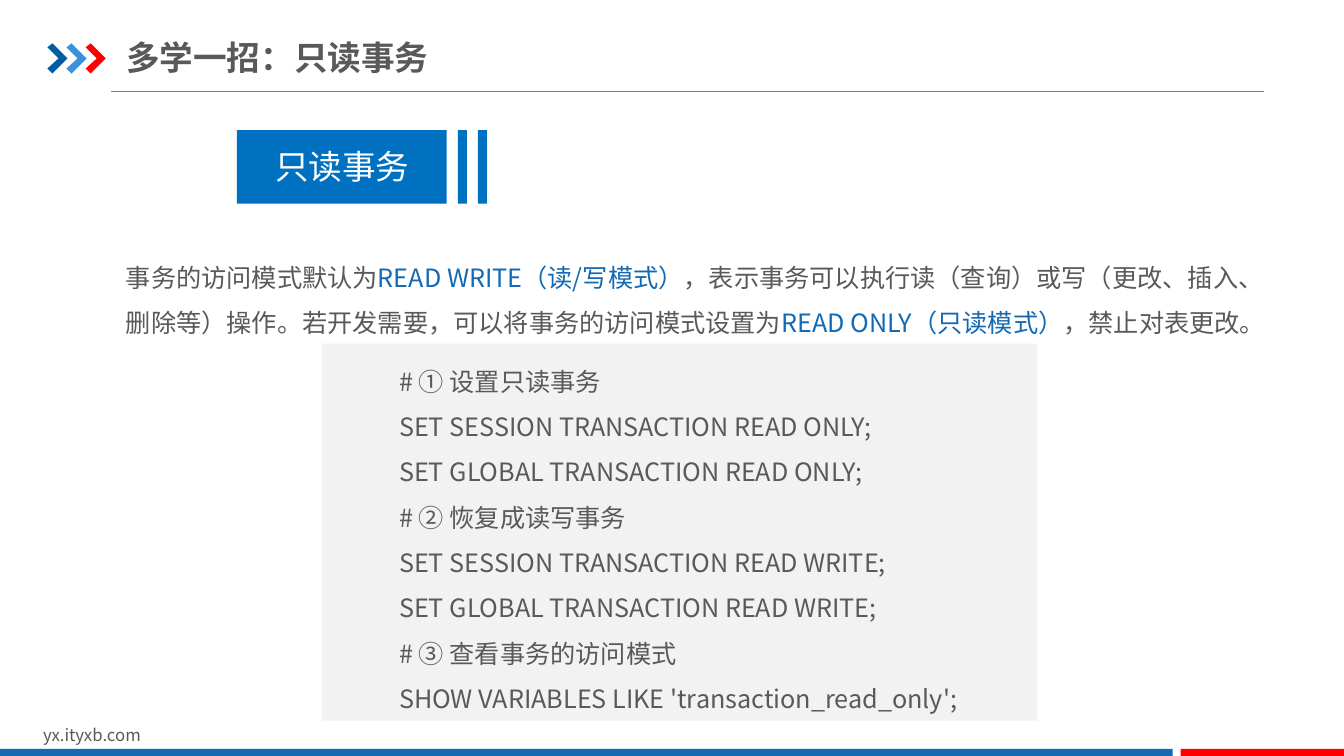
"""Build the slide on read-only transactions."""
from dataclasses import dataclass

import pptx
import pptx.dml.color
import pptx.enum.shapes
import pptx.enum.text
import pptx.oxml.ns
import pptx.util
from lxml import etree
from pptx.util import Inches

CJK = "Noto Sans CJK SC"
GREY, BLUE, RED, BANNER = "595959", "1369B2", "FF0000", "0070C0"
ALIGN = pptx.enum.text.PP_ALIGN
ANCHOR = pptx.enum.text.MSO_ANCHOR


@dataclass
class Box:
    left: float
    top: float
    width: float
    height: float


@dataclass
class Bar:
    box: Box
    fill: str


@dataclass
class Run:
    text: str
    color: str = GREY


@dataclass
class Style:
    size: int
    font: str = CJK
    bold: bool = False
    align: ALIGN = ALIGN.LEFT
    spacing: float = 1.0
    indent: float = 0.0


BARS = [
    Bar(Box(0, 7.43, 11.63, 0.07), BLUE),
    Bar(Box(11.71, 7.43, 1.62, 0.07), RED),
    Bar(Box(2.35, 1.29, 2.08, 0.73), BANNER),
    Bar(Box(4.54, 1.29, 0.09, 0.73), BANNER),
    Bar(Box(4.74, 1.29, 0.09, 0.73), BANNER),
]
CHEVRON_COLORS = ["005DA2", "3992DB", RED]
CHEVRON = [(0, 0.04), (0.05, 0), (0.2, 0.15), (0.05, 0.3), (0, 0.25), (0.11, 0.15)]
BODY = [
    Run("事务的访问模式默认为"),
    Run("READ WRITE（读/写模式）", "1369B3"),
    Run("，表示事务可以执行读（查询）或写（更改、插入、删除等）操作。若开发需要，可以将事务的访问模式设置为"),
    Run("READ ONLY（只读模式）", "1369B3"),
    Run("，禁止对表更改。"),
]
CODE = [
    "# ① 设置只读事务",
    "SET SESSION TRANSACTION READ ONLY;",
    "SET GLOBAL TRANSACTION READ ONLY;",
    "# ② 恢复成读写事务",
    "SET SESSION TRANSACTION READ WRITE;",
    "SET GLOBAL TRANSACTION READ WRITE;",
    "# ③ 查看事务的访问模式",
    "SHOW VARIABLES LIKE 'transaction_read_only';",
]


def rgb(value: str) -> pptx.dml.color.RGBColor:
    return pptx.dml.color.RGBColor.from_string(value)


def paint(sp, fill: str) -> None:
    sp.shadow.inherit = False
    sp.fill.solid()
    sp.fill.fore_color.rgb = rgb(fill)
    sp.line.fill.background()


def add_bar(s, bar: Bar):
    b = bar.box
    sp = s.shapes.add_shape(
        pptx.enum.shapes.MSO_SHAPE.RECTANGLE,
        Inches(b.left), Inches(b.top), Inches(b.width), Inches(b.height))
    paint(sp, bar.fill)
    return sp


def add_chevron(s, left: float, top: float, fill: str) -> None:
    points = [(Inches(left + x), Inches(top + y)) for x, y in CHEVRON]
    fb = s.shapes.build_freeform(*points[0], scale=1.0)
    fb.add_line_segments(points[1:], close=True)
    paint(fb.convert_to_shape(), fill)


def write(tf, paragraphs: list[list[Run]], style: Style) -> None:
    tf.word_wrap = True
    for i, runs in enumerate(paragraphs):
        p = tf.paragraphs[0] if i == 0 else tf.add_paragraph()
        p.alignment = style.align
        p.line_spacing = style.spacing
        if style.indent:
            p.level = 1
            pPr = p._p.get_or_add_pPr()
            pPr.set("marL", str(Inches(style.indent)))
            pPr.set("indent", "0")
        for run in runs:
            r = p.add_run()
            r.text = run.text
            r.font.size = pptx.util.Pt(style.size)
            r.font.bold = style.bold
            r.font.name = style.font
            r.font.color.rgb = rgb(run.color)
            ea = etree.SubElement(r._r.get_or_add_rPr(), pptx.oxml.ns.qn("a:ea"))
            ea.set("typeface", CJK)


def add_text(s, b: Box, runs: list[Run], style: Style):
    sp = s.shapes.add_textbox(
        Inches(b.left), Inches(b.top), Inches(b.width), Inches(b.height))
    write(sp.text_frame, [runs], style)
    return sp.text_frame


def add_rule(s, x1: float, x2: float, y: float) -> None:
    cx = s.shapes.add_connector(
        pptx.enum.shapes.MSO_CONNECTOR.STRAIGHT,
        Inches(x1), Inches(y), Inches(x2), Inches(y))
    cx.line.color.rgb = rgb("808080")
    cx.line.width = pptx.util.Pt(0.75)
    etree.SubElement(cx._element.spPr, pptx.oxml.ns.qn("a:effectLst"))


def main() -> None:
    prs = pptx.Presentation()
    prs.slide_width, prs.slide_height = Inches(13.33), Inches(7.5)
    s = prs.slides.add_slide(prs.slide_layouts[6])

    add_rule(s, 1.1, 12.54, 0.91)
    for i, color in enumerate(CHEVRON_COLORS):
        add_chevron(s, 0.47 + 0.19 * i, 0.43, color)
    for bar in BARS:
        add_bar(s, bar)

    add_text(s, Box(0.33, 7.14, 3.18, 0.3), [Run("yx.ityxb.com")], Style(12))
    tf = add_text(s, Box(1.25, 0.29, 6.08, 0.55), [Run("多学一招：只读事务")],
                  Style(24, bold=True))
    tf.vertical_anchor = ANCHOR.MIDDLE
    tf.margin_left = tf.margin_right = 0
    add_text(s, Box(2.6, 1.4, 1.59, 0.5), [Run("只读事务", "FFFFFF")],
             Style(24, font="Arial", align=ALIGN.CENTER))
    add_text(s, Box(1.15, 2.4, 11.4, 1.01), BODY, Style(18, spacing=1.5))

    sp = add_bar(s, Bar(Box(3.19, 3.41, 7.1, 3.74), "F2F2F2"))
    sp.text_frame.vertical_anchor = ANCHOR.MIDDLE
    write(sp.text_frame, [[Run(line)] for line in CODE],
          Style(18, align=ALIGN.JUSTIFY, spacing=1.5, indent=0.67))

    prs.save("out.pptx")


if __name__ == "__main__":
    main()
